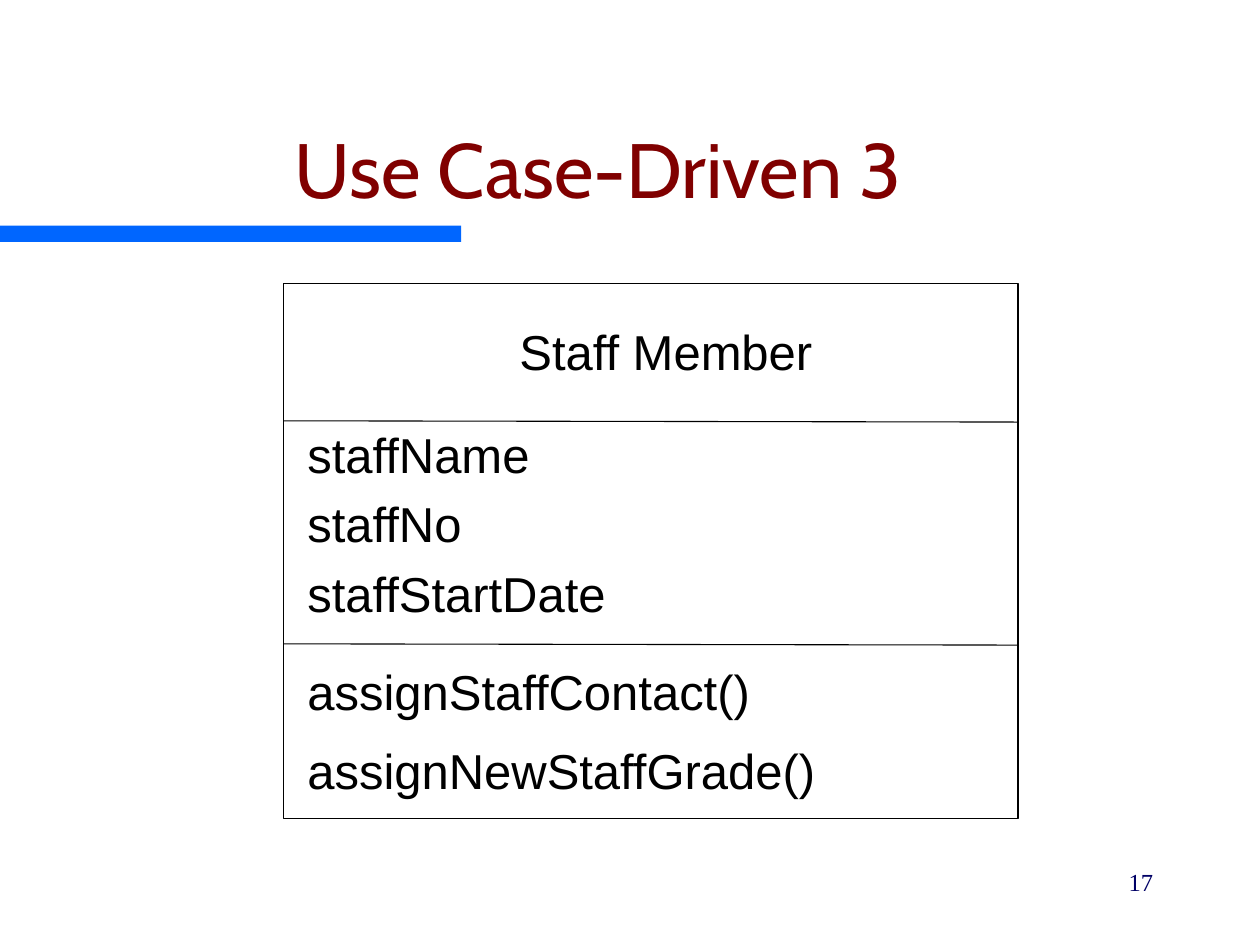
import pptx
import pptx.util
import pptx.dml.color
import pptx.enum.shapes
import pptx.enum.text
from lxml import etree
from pptx.oxml.ns import qn

Inches = pptx.util.Inches
Pt = pptx.util.Pt
ALIGN = pptx.enum.text.PP_ALIGN
ANCHOR = pptx.enum.text.MSO_ANCHOR

COLORS = {"title": "800000", "accent": "0066FF", "number": "000066",
          "ink": "000000", "paper": "FFFFFF"}


def color(name):
    return pptx.dml.color.RGBColor.from_string(COLORS[name])


def add_run(paragraph, text, font, size, color_name):
    run = paragraph.add_run()
    run.text = text
    run.font.name = font
    run.font.size = Pt(size)
    run.font.color.rgb = color(color_name)


def add_rectangle(slide, left, top, width, height, fill, line=None):
    shape = slide.shapes.add_shape(
        pptx.enum.shapes.MSO_SHAPE.RECTANGLE,
        Inches(left), Inches(top), Inches(width), Inches(height))
    shape.shadow.inherit = False
    shape.fill.solid()
    shape.fill.fore_color.rgb = color(fill)
    if line:
        shape.line.color.rgb = color(line)
        shape.line.width = Pt(0.62)
    else:
        shape.line.fill.background()


def add_label(slide, text, left, top, width, alignment=ALIGN.LEFT):
    """Add one line of the class box, without insets or wrapping."""
    shape = slide.shapes.add_textbox(
        Inches(left), Inches(top), Inches(width), Inches(0.47))
    frame = shape.text_frame
    frame.margin_left = frame.margin_right = 0
    frame.margin_top = frame.margin_bottom = 0
    frame.word_wrap = False
    frame.auto_size = pptx.enum.text.MSO_AUTO_SIZE.SHAPE_TO_FIT_TEXT
    frame.paragraphs[0].alignment = alignment
    add_run(frame.paragraphs[0], text, "Arial", 28, "ink")


def add_divider(slide, left, top, width):
    """Add a compartment line, which falls slightly to the right."""
    connector = slide.shapes.add_connector(
        pptx.enum.shapes.MSO_CONNECTOR.STRAIGHT, Inches(left), Inches(top),
        Inches(left + width), Inches(top + 0.01))
    connector.line.color.rgb = color("ink")
    connector.line.width = Pt(0.62)
    properties = connector.element.find(qn("p:spPr"))
    etree.SubElement(properties, qn("a:effectLst"))


def add_title(slide, text, left, top, width, height):
    title = slide.shapes.title
    title.left, title.top = Inches(left), Inches(top)
    title.width, title.height = Inches(width), Inches(height)
    frame = title.text_frame
    frame.vertical_anchor = ANCHOR.BOTTOM
    frame.paragraphs[0].alignment = ALIGN.CENTER
    add_run(frame.paragraphs[0], text, "Cabin", 44, "title")


def add_class_box(slide, left, top, width, height):
    """Add a UML class with name, attribute and operation compartments."""
    add_rectangle(slide, left, top, width, height, "paper", "ink")
    add_label(slide, "Staff Member", left + 1.87, top + 0.3, 2.33, ALIGN.CENTER)
    attributes = [("staffName", 1.77), ("staffNo", 1.23), ("staffStartDate", 2.37)]
    for index, (text, text_width) in enumerate(attributes):
        add_label(slide, text, left + 0.19, top + 1.12 + 0.55 * index, text_width)
    operations = [("assignStaffContact()", 3.69), ("assignNewStaffGrade()", 4.04)]
    for index, (text, text_width) in enumerate(operations):
        add_label(slide, text, left + 0.19, top + 3 + 0.63 * index, text_width)
    for offset in (1.09, 2.86):
        add_divider(slide, left, top + offset, width - 0.01)


def add_slide_number(slide, text, left, top, width, height):
    shape = slide.shapes.add_textbox(
        Inches(left), Inches(top), Inches(width), Inches(height))
    shape.text_frame.word_wrap = True
    paragraph = shape.text_frame.paragraphs[0]
    paragraph.alignment = ALIGN.RIGHT
    paragraph.space_before = Pt(8.8)
    add_run(paragraph, text, "Times New Roman", 14, "number")


def main():
    presentation = pptx.Presentation()
    presentation.slide_width = Inches(10)
    presentation.slide_height = Inches(7.5)
    slide = presentation.slides.add_slide(presentation.slide_layouts[5])
    add_rectangle(slide, 0, 1.79, 3.66, 0.13, "accent")
    add_title(slide, "Use Case-Driven 3", 0.25, 0.5, 9, 1.25)
    add_class_box(slide, 2.25, 2.25, 5.83, 4.25)
    add_slide_number(slide, "17", 7.17, 6.83, 2.08, 0.5)
    presentation.save("out.pptx")


if __name__ == "__main__":
    main()
